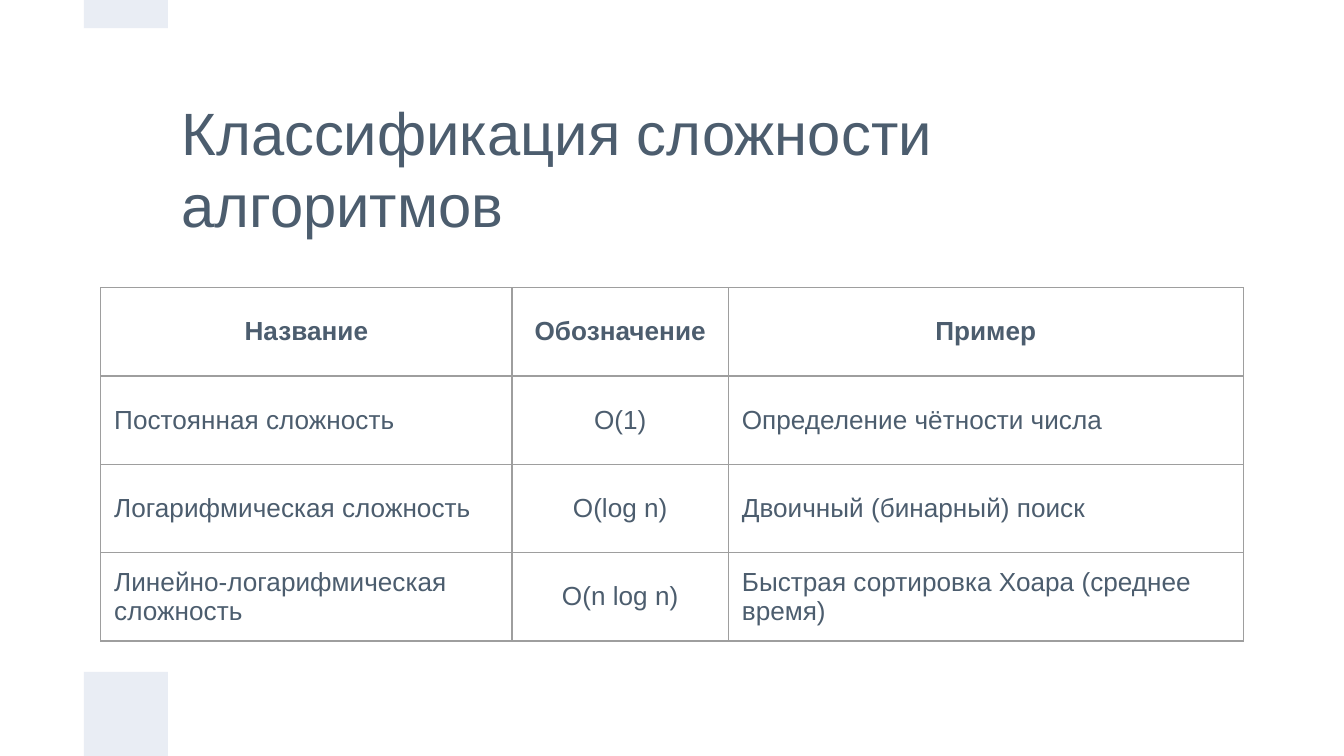
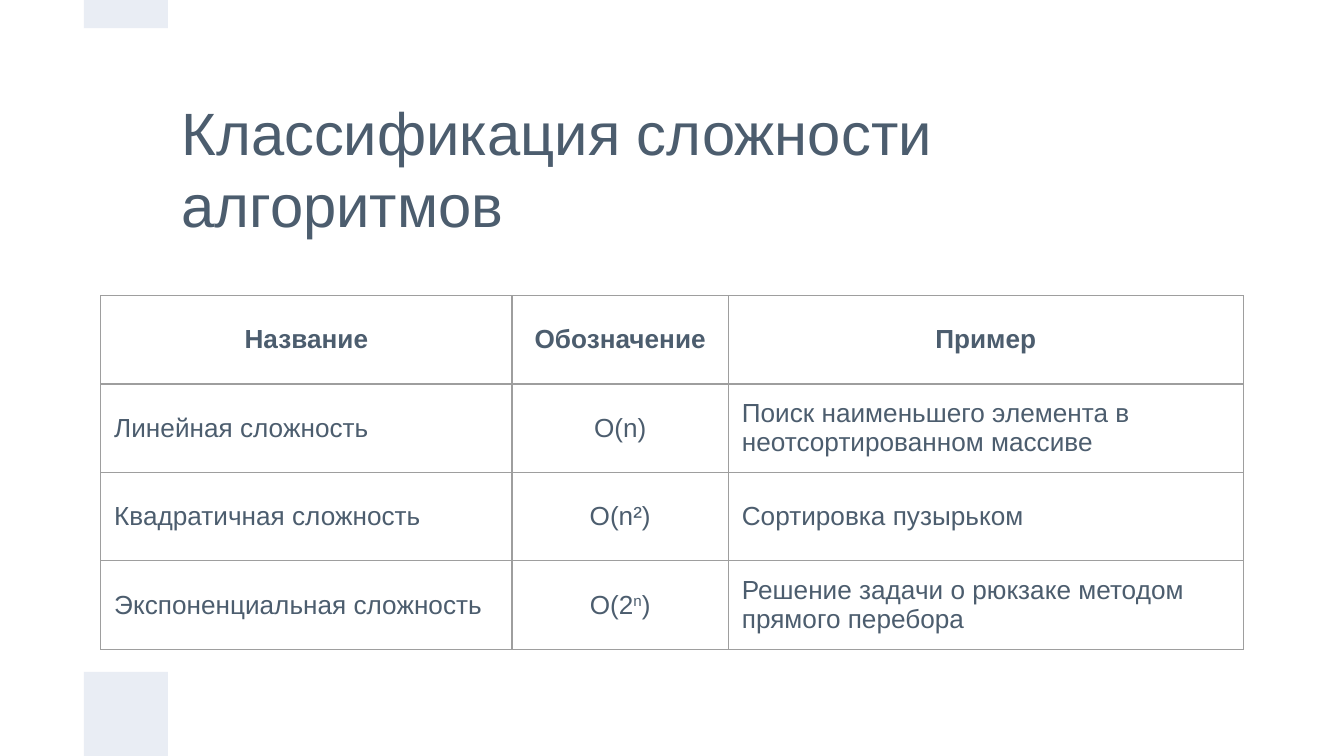
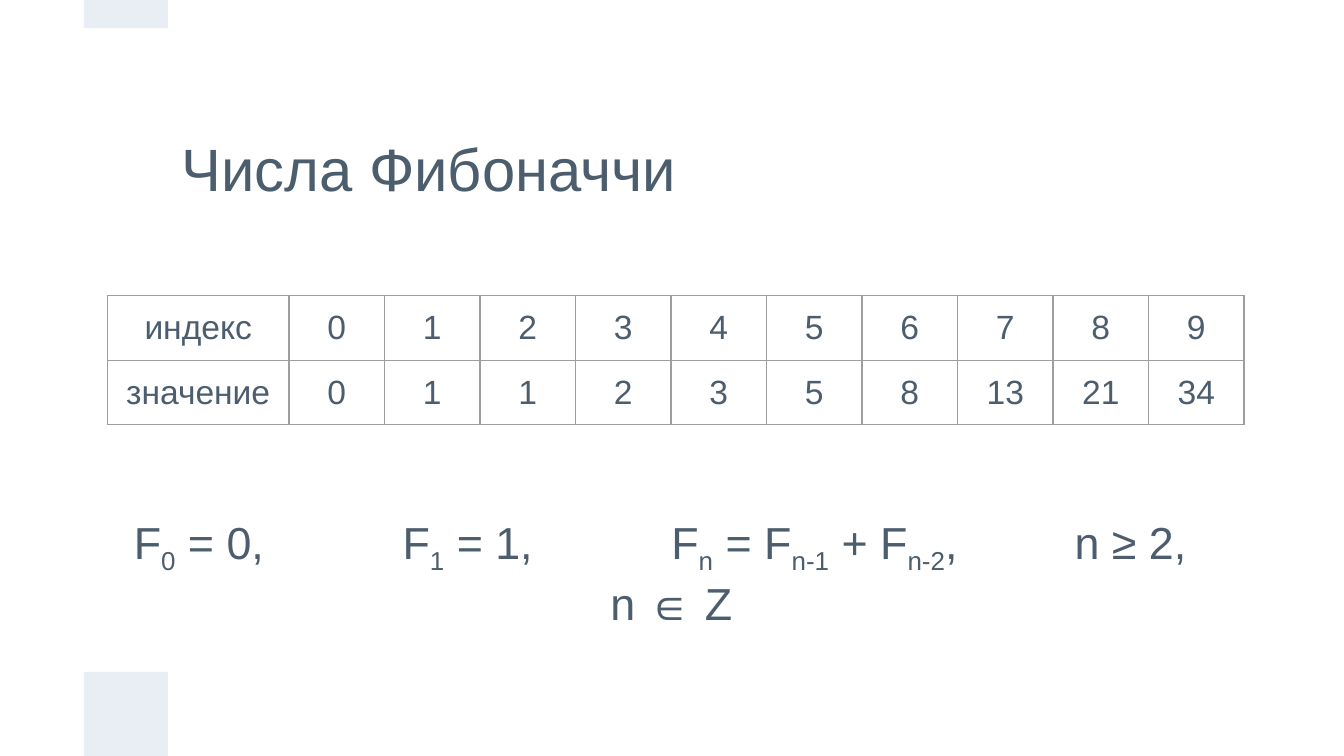
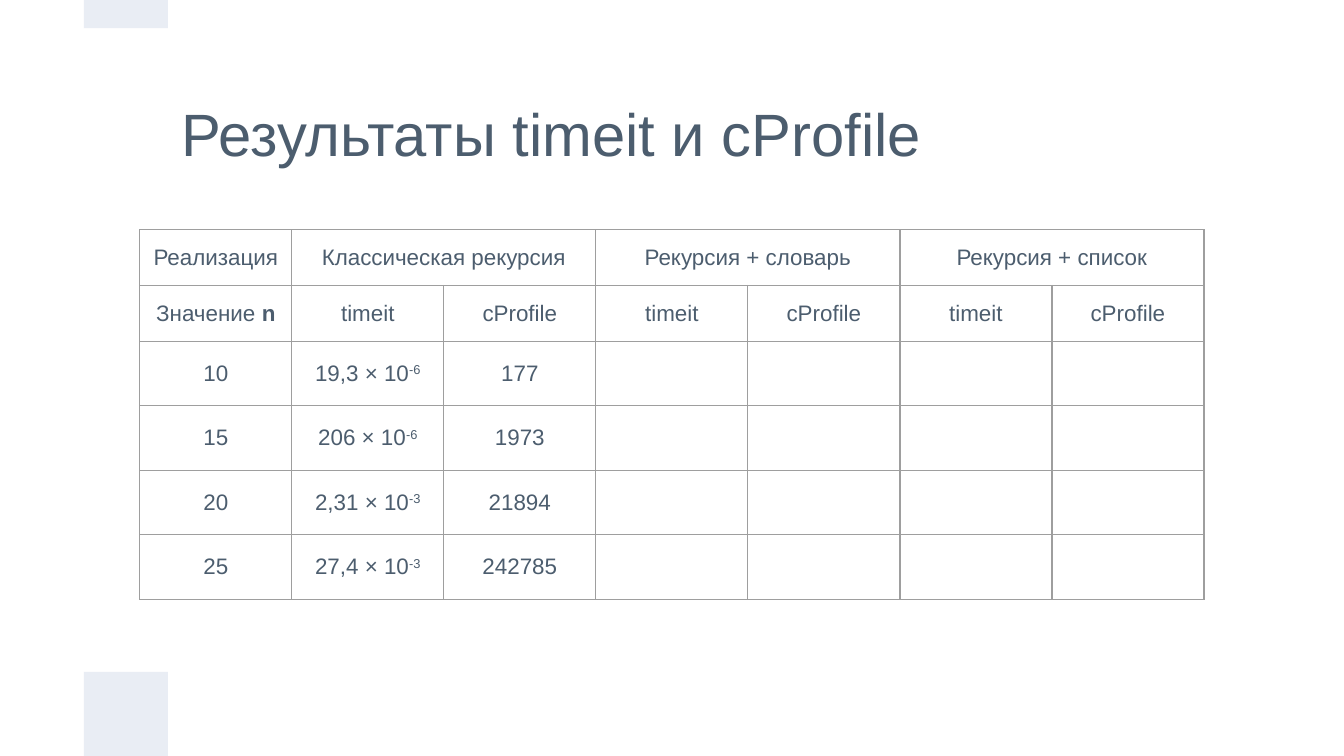
from lxml.etree import SubElement
from pptx import Presentation
from pptx.dml.color import RGBColor
from pptx.enum.shapes import MSO_SHAPE
from pptx.enum.text import MSO_ANCHOR, MSO_AUTO_SIZE, PP_ALIGN
from pptx.oxml.ns import qn
from pptx.util import Inches, Pt

FONT = "Arial"
SLATE = RGBColor(0x4C, 0x5D, 0x6E)
PALE_BLUE = RGBColor(0xE9, 0xED, 0xF4)
GRID_GREY = RGBColor(0x9E, 0x9E, 0x9E)
INSET = Inches(0.1)
BASELINES = {"^": "30000", "_": "-25000"}


def write_text(para, text, size, bold=False, align=PP_ALIGN.LEFT):
    """Split text at "|"; ^ marks superscript, _ subscript, * bold."""
    para.alignment = align
    for piece in text.split("|"):
        mark = piece[0] if piece[0] in "^_*" else ""
        span = para.add_run()
        span.text = piece[len(mark):]
        span.font.name = FONT
        span.font.size = Pt(size)
        span.font.color.rgb = SLATE
        span.font.bold = bold or mark == "*"
        if mark in BASELINES:
            span.font._element.set("baseline", BASELINES[mark])


def add_grid(page, left, top, widths, heights, rows, size, left_columns=(), bold_header=False):
    frame = page.shapes.add_table(len(rows), len(widths), Inches(left), Inches(top),
                                  Inches(sum(widths)), Inches(sum(heights)))
    table = frame.table
    table.first_row = table.horz_banding = False
    for column, width in zip(table.columns, widths):
        column.width = Inches(width)
    for row, height in zip(table.rows, heights):
        row.height = Inches(height)
    for r, texts in enumerate(rows):
        for c, text in enumerate(texts):
            cell = table.cell(r, c)
            cell.fill.background()
            cell.vertical_anchor = MSO_ANCHOR.MIDDLE
            cell.margin_left = cell.margin_right = INSET
            cell.margin_top = cell.margin_bottom = INSET
            # Thin grey border on every side
            properties = cell._tc.get_or_add_tcPr()
            for position, side in enumerate("LRTB"):
                line = SubElement(properties, qn(f"a:ln{side}"), w=str(Pt(0.75)))
                fill = SubElement(line, qn("a:solidFill"))
                SubElement(fill, qn("a:srgbClr"), val=str(GRID_GREY))
                properties.insert(position, line)
            para = cell.text_frame.paragraphs[0]
            if text:
                to_left = r > 0 and c in left_columns
                write_text(para, text, size, bold_header and r == 0,
                           PP_ALIGN.LEFT if to_left else PP_ALIGN.CENTER)
            else:
                # Keeps empty cells from stretching their row
                SubElement(para._p, qn("a:endParaRPr"), sz=str(size * 100))
    return table


deck = Presentation()
deck.slide_width = Inches(10)
deck.slide_height = Inches(5.625)

# Pages with their titles
titles = ["Классификация сложности алгоритмов", "Классификация сложности алгоритмов",
          "Числа Фибоначчи", "Результаты timeit и cProfile"]
pages = []
for title_text in titles:
    page = deck.slides.add_slide(deck.slide_layouts[5])
    title = page.shapes.title
    title.left, title.top = Inches(1.25), Inches(0.62)
    title.width, title.height = Inches(7.5), Inches(1.25)
    frame = title.text_frame
    frame.auto_size = MSO_AUTO_SIZE.NONE
    frame.word_wrap = True
    frame.vertical_anchor = MSO_ANCHOR.MIDDLE
    frame.margin_left = frame.margin_right = frame.margin_top = frame.margin_bottom = INSET
    write_text(frame.paragraphs[0], title_text, 32)
    pages.append(page)
pages[3].shapes.title.text_frame.vertical_anchor = MSO_ANCHOR.TOP

# Bands, drawn once and moved to the slide master
master_tree = deck.slide_master.shapes._spTree
for number, (top, height) in enumerate([(5, 0.625), (0, 0.21)]):
    band = pages[0].shapes.add_shape(MSO_SHAPE.RECTANGLE, Inches(0.625), Inches(top),
                                     Inches(0.625), Inches(height))
    band.shadow.inherit = False
    band.fill.solid()
    band.fill.fore_color.rgb = PALE_BLUE
    band.line.fill.background()
    band._element.nvSpPr.cNvPr.set("id", str(101 + number))
    master_tree.append(band._element)

# Slides 1 and 2: complexity classes
header = ["Название", "Обозначение", "Пример"]
fast_classes = [
    ["Постоянная сложность", "O(1)", "Определение чётности числа"],
    ["Логарифмическая сложность", "O(log n)", "Двоичный (бинарный) поиск"],
    ["Линейно-логарифмическая сложность", "O(n log n)",
     "Быстрая сортировка Хоара (среднее время)"],
]
slow_classes = [
    ["Линейная сложность", "O(n)", "Поиск наименьшего элемента в неотсортированном массиве"],
    ["Квадратичная сложность", "O(n²)", "Сортировка пузырьком"],
    ["Экспоненциальная сложность", "O(2|^n|)",
     "Решение задачи о рюкзаке методом прямого перебора"],
]
for page, top, classes in [(pages[0], 2.14, fast_classes), (pages[1], 2.2, slow_classes)]:
    add_grid(page, 0.75, top, [3.06, 1.61, 3.83], [2.63 / 4] * 4, [header] + classes, 14,
             left_columns=(0, 2), bold_header=True)

# Slide 3: Fibonacci numbers
numbers = [0, 1]
while len(numbers) < 10:
    numbers.append(numbers[-1] + numbers[-2])
add_grid(pages[2], 0.8, 2.2, [1.35] + [7.11 / 10] * 10, [0.48] * 2,
         [["индекс"] + [str(index) for index in range(10)],
          ["значение"] + [str(number) for number in numbers]], 18)

formula = pages[2].shapes.add_textbox(Inches(0.89), Inches(3.73), Inches(8.21), Inches(0.64))
frame = formula.text_frame
frame.word_wrap = True
frame.margin_left = frame.margin_right = frame.margin_top = frame.margin_bottom = INSET
para = frame.paragraphs[0]
write_text(para, "F|_0| = 0, \tF|_1| = 1, \tF|_n| = F|_n-1| + F|_n-2|, \tn ≥ 2, \tn ∈ Z",
           24, align=PP_ALIGN.CENTER)
# Tab stops at every inch
tab_list = SubElement(para._p.get_or_add_pPr(), qn("a:tabLst"))
for inch in range(1, 9):
    SubElement(tab_list, qn("a:tab"), pos=str(Inches(inch)), algn="l")

# Slide 4: timing results
methods = ["Классическая рекурсия", "Рекурсия + словарь", "Рекурсия + список"]
method_row = ["Реализация"]
for method in methods:
    method_row += [method, ""]
results = [("10", "19,3 × 10|^-6", "177"), ("15", "206 × 10|^-6", "1973"),
           ("20", "2,31 × 10|^-3", "21894"), ("25", "27,4 × 10|^-3", "242785")]
rows = [method_row, ["Значение |*n"] + ["timeit", "cProfile"] * 3]
rows += [list(result) + [""] * 4 for result in results]
timings = add_grid(pages[3], 1.04, 1.71, [7.92 / 7] * 7, [0.83 / 2] * 2 + [0.48] * 4, rows, 12)
for column in (1, 3, 5):
    timings.cell(0, column).merge(timings.cell(0, column + 1))

deck.save("out.pptx")
